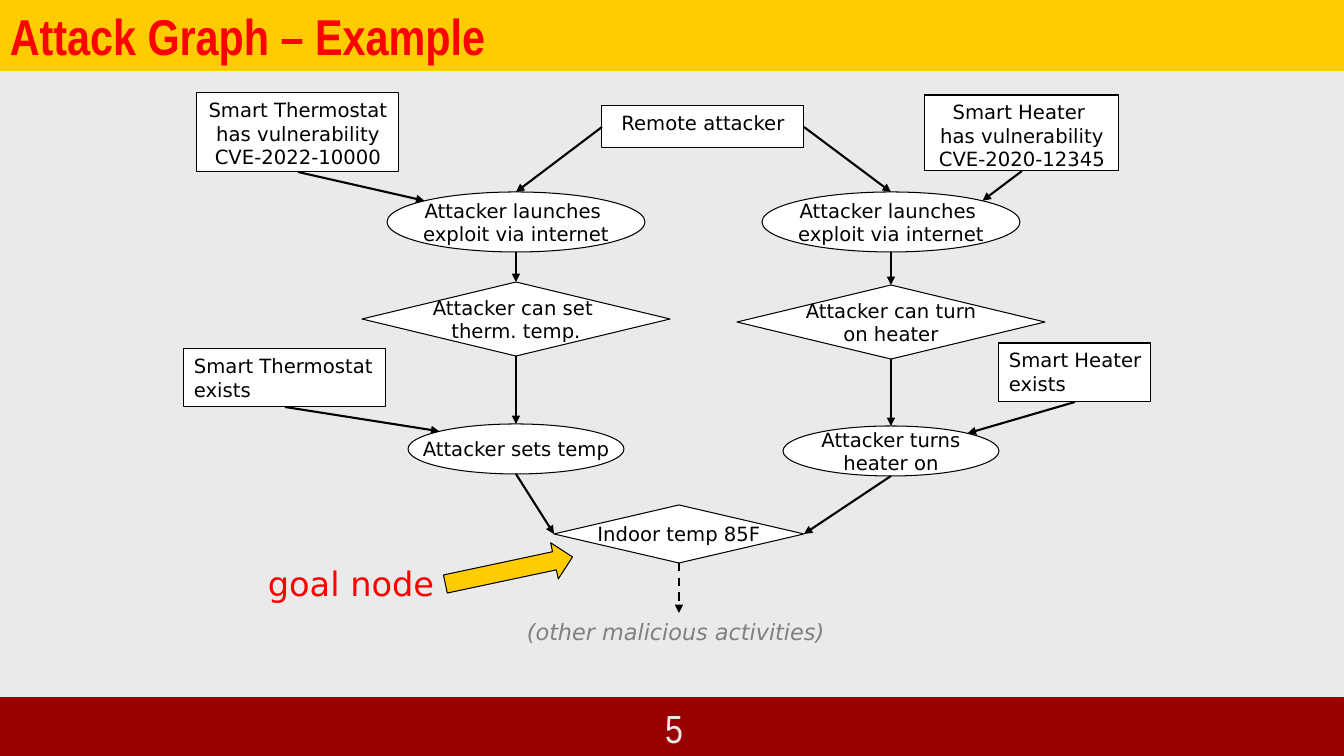
from lxml.etree import SubElement as Sub
from pptx import Presentation
from pptx.dml.color import RGBColor as RGB
from pptx.enum.dml import MSO_LINE_DASH_STYLE as DASH
from pptx.enum.shapes import MSO_CONNECTOR as LINE, MSO_SHAPE as SHAPE
from pptx.enum.text import MSO_ANCHOR as ANCHOR, PP_ALIGN as ALIGN
from pptx.oxml.ns import qn
from pptx.util import Pt

PX = 9144000 / 1008
WIDE, HIGH = 1344, 756
SANS, NARROW = "DejaVu Sans", "Arial Narrow"
BLACK, WHITE, RED = "000000", "FFFFFF", "FF0000"
GRAY, GOLD, MAROON, PALE = "808080", "FFCC00", "9A0000", "EAEAEA"
LEFT, RIGHT = 516, 891  # centres of the two attack chains

RECT, OVAL, DIAMOND = SHAPE.RECTANGLE, SHAPE.OVAL, SHAPE.DIAMOND
TOP, MID, BOTTOM = ANCHOR.TOP, ANCHOR.MIDDLE, ANCHOR.BOTTOM

# name: shape, centre x, top, width, height, text
NODES = {
    "therm bug": (RECT, 298, 93, 202, 79,
                  "Smart Thermostat\nhas vulnerability\nCVE-2022-10000"),
    "remote": (RECT, 703, 106, 202, 42, "Remote attacker"),
    "heat bug": (RECT, 1022, 95, 194, 76,
                 "Smart Heater \nhas vulnerability\nCVE-2020-12345"),
    "therm hack": (OVAL, LEFT, 192, 258, 60,
                   "Attacker launches \nexploit via internet"),
    "heat hack": (OVAL, RIGHT, 192, 258, 60,
                  "Attacker launches \nexploit via internet"),
    "can set": (DIAMOND, LEFT, 282, 308, 74, "Attacker can set \ntherm. temp."),
    "can turn": (DIAMOND, RIGHT, 285, 308, 74, "Attacker can turn\non heater"),
    "therm": (RECT, 285, 349, 202, 58, "Smart Thermostat \nexists"),
    "heater": (RECT, 1075, 343, 152, 59, "Smart Heater\nexists"),
    "sets": (OVAL, LEFT, 424, 216, 50, "Attacker sets temp"),
    "turns": (OVAL, RIGHT, 426, 216, 50, "Attacker turns\nheater on"),
    "goal": (SHAPE.FLOWCHART_DECISION, 679, 505, 250, 58, "Indoor temp 85F"),
}
FLUSH = ("therm", "heater")  # nodes with left-aligned text

# from node, side, to node, side
EDGES = [
    ("therm bug", "S", "therm hack", "NW"),
    ("remote", "W", "therm hack", "N"),
    ("remote", "E", "heat hack", "N"),
    ("heat bug", "S", "heat hack", "NE"),
    ("therm hack", "S", "can set", "N"),
    ("heat hack", "S", "can turn", "N"),
    ("can set", "S", "sets", "N"),
    ("can turn", "S", "turns", "N"),
    ("therm", "S", "sets", "NW"),
    ("heater", "S", "turns", "NE"),
    ("sets", "S", "goal", "W"),
    ("turns", "S", "goal", "E"),
]
# offset from the centre, in half widths and half heights
SIDES = {"N": (0, -1), "S": (0, 1), "W": (-1, 0), "E": (1, 0),
         "NW": (-0.71, -0.71), "NE": (0.71, -0.71)}


def emu(*vals):
    return [round(v * PX) for v in vals]


def color(code):
    return RGB.from_string(code)


def write(shape, text, size, ink, font=SANS, align=ALIGN.LEFT, anchor=TOP,
          bold=False, italic=False):
    frame = shape.text_frame
    frame.word_wrap = False
    frame.vertical_anchor = anchor
    para = frame.paragraphs[0]
    para.text = text
    para.alignment = align
    face = para.font
    face.name, face.size, face.bold, face.italic = font, Pt(size), bold, italic
    face.color.rgb = color(ink)


def draw(kind, box, fill, edge=BLACK):
    shape = shapes.add_shape(kind, *emu(*box))
    shape.shadow.inherit = False
    shape.fill.solid()
    shape.fill.fore_color.rgb = color(fill)
    if edge:
        shape.line.color.rgb = color(edge)
        shape.line.width = Pt(0.75)
    else:
        shape.line.fill.background()
    return shape


def port(name, side):
    """Point on the rim of a node."""
    _, mid, top, w, h, _ = NODES[name]
    dx, dy = SIDES[side]
    return mid + dx * w / 2, top + (1 + dy) * h / 2


def arrow(start, end, dash=None):
    link = shapes.add_connector(LINE.STRAIGHT, *emu(*start, *end))
    link.line.color.rgb = color(BLACK)
    link.line.width = Pt(1.5)
    if dash:
        link.line.dash_style = dash
    Sub(link.line._get_or_add_ln(), qn("a:tailEnd"), type="triangle")
    Sub(link._element.spPr, qn("a:effectLst"))


def main():
    draw(RECT, (0, 698, WIDE, 58), MAROON, MAROON)
    page = draw(RECT, (548, 701, 145, 55), MAROON, MAROON)
    write(page, "5", 28, PALE, NARROW, ALIGN.RIGHT, BOTTOM)
    title = draw(RECT, (0, 0, WIDE, 71), GOLD, None)
    write(title, "Attack Graph – Example", 36, RED, NARROW, anchor=BOTTOM,
          bold=True)

    for name, (kind, mid, top, w, h, text) in NODES.items():
        node = draw(kind, (mid - w / 2, top, w, h), WHITE)
        write(node, text, 14, BLACK,
              align=ALIGN.LEFT if name in FLUSH else ALIGN.CENTER,
              anchor=TOP if kind == RECT else MID)

    for tail, out, head, into in EDGES:
        arrow(port(tail, out), port(head, into))
    x, y = port("goal", "S")
    arrow((x, y), (x, y + 50), DASH.DASH)

    other = shapes.add_textbox(*emu(517, 613, 324, 37))
    write(other, "(other malicious activities)", 16, GRAY, italic=True)
    label = shapes.add_textbox(*emu(258, 558, 187, 50))
    write(label, "goal node", 24, RED)
    draw(SHAPE.RIGHT_ARROW, (444, 552, 130, 37), GOLD).rotation = 348

    deck.save("out.pptx")


if __name__ == "__main__":
    deck = Presentation()
    deck.slide_width, deck.slide_height = emu(WIDE, HIGH)
    slide = deck.slides.add_slide(deck.slide_layouts[6])
    slide.background.fill.solid()
    slide.background.fill.fore_color.rgb = color(PALE)
    shapes = slide.shapes
    main()
